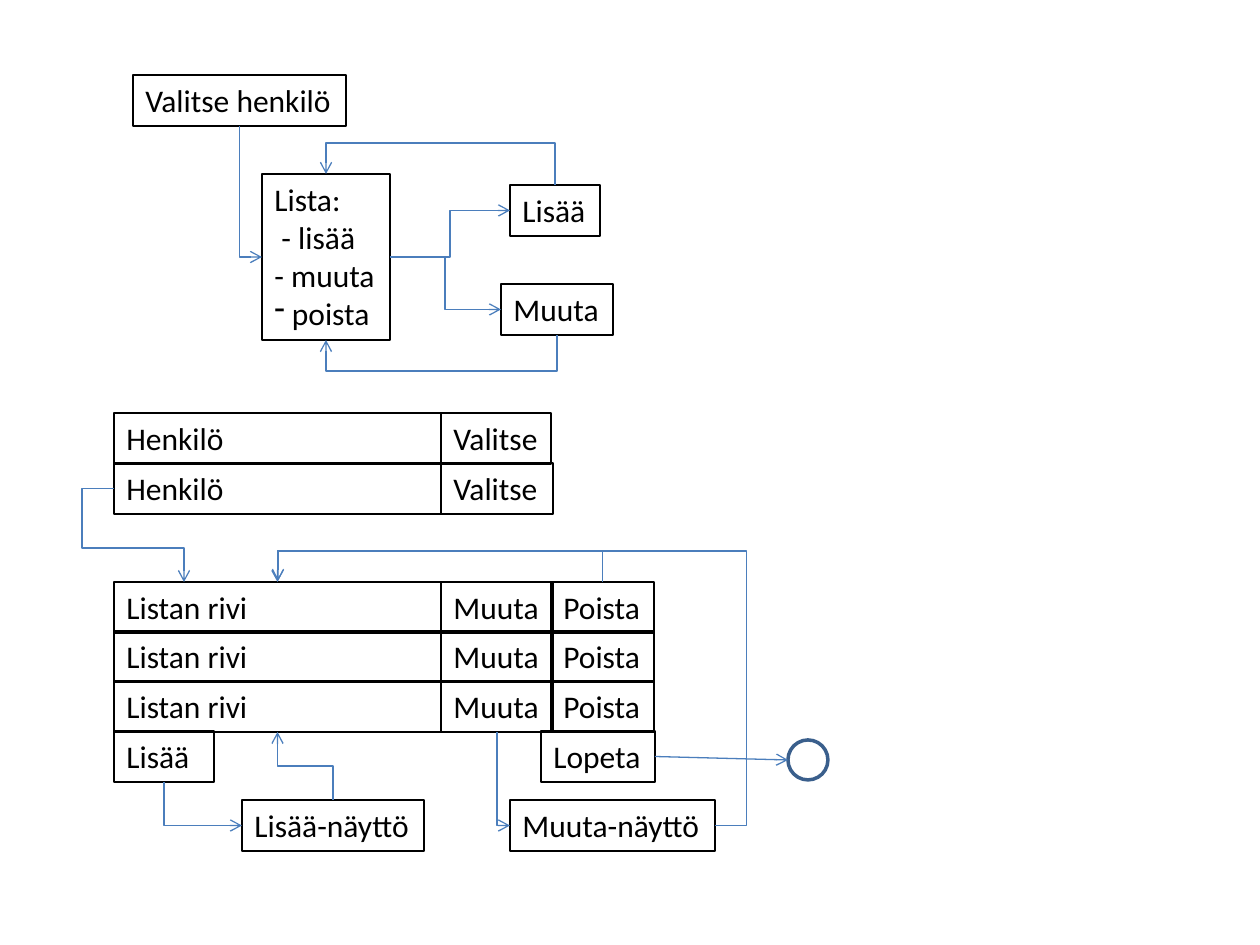
from lxml.etree import SubElement
from pptx import Presentation
from pptx.dml.color import RGBColor
from pptx.enum.shapes import MSO_CONNECTOR, MSO_SHAPE
from pptx.enum.text import MSO_ANCHOR, MSO_AUTO_SIZE, PP_ALIGN
from pptx.oxml.ns import qn
from pptx.util import Pt

RECT, OVAL = MSO_SHAPE.RECTANGLE, MSO_SHAPE.OVAL
STRAIGHT, ELBOW = MSO_CONNECTOR.STRAIGHT, MSO_CONNECTOR.ELBOW
FIT, TOP, LEFT_ALIGN = MSO_AUTO_SIZE.SHAPE_TO_FIT_TEXT, MSO_ANCHOR.TOP, PP_ALIGN.LEFT
T, L, B, R = 0, 1, 2, 3
PX = 914400 / 126
COLORS = {"text": "000000", "arrow": "4B7EBC", "circle": "3A5F8C"}
FONT = "Calibri"
BOX_H = 51


def add_box(name, text, x, y, w, h=BOX_H, wrap=False):
    sp = s.shapes.add_shape(RECT, *[round(v * PX) for v in (x, y, w, h)])
    sp.shadow.inherit = False
    sp.fill.background()
    sp.line.color.rgb = RGBColor.from_string(COLORS["text"])
    sp.line.width = Pt(0.75)
    tf = sp.text_frame
    tf.text = text
    tf.word_wrap = wrap
    tf.auto_size = FIT
    tf.vertical_anchor = TOP
    for p in tf.paragraphs:
        p.alignment = LEFT_ALIGN
        for r in p.runs:
            r.font.name = FONT
            r.font.size = Pt(18)
            r.font.color.rgb = RGBColor.from_string(COLORS["text"])
    boxes[name] = sp


def style_arrow(cn):
    cn.line.color.rgb = RGBColor.from_string(COLORS["arrow"])
    cn.line.width = Pt(0.75)
    spPr = cn._element.spPr
    SubElement(spPr.find(qn("a:ln")), qn("a:tailEnd"), type="arrow")
    SubElement(spPr, qn("a:effectLst"))


prs = Presentation()
prs.slide_width = round(1260 * PX)
prs.slide_height = round(945 * PX)
s = prs.slides.add_slide(prs.slide_layouts[6])
boxes = {}

add_box("choose", "Valitse henkilö", 133, 75, 213)
add_box("list", "Lista:\n - lisää\n- muuta\n poista", 262, 174, 128, 166)
add_box("add", "Lisää", 510, 185, 90)
add_box("edit", "Muuta", 501, 284, 112)

pPr = boxes["list"].text_frame.paragraphs[-1]._p.get_or_add_pPr()
pPr.set("marL", "0")
pPr.set("indent", "0")
SubElement(pPr, qn("a:buFontTx"))
SubElement(pPr, qn("a:buChar"), char="-")

for i, (y, w) in enumerate([(413, 110), (463, 112)]):
    add_box(f"person{i}", "Henkilö", 114, y, 327, wrap=True)
    add_box(f"select{i}", "Valitse", 441, y, w)

for i, y in enumerate([582, 631, 681]):
    add_box(f"row{i}", "Listan rivi", 114, y, 327, wrap=True)
    add_box(f"row_edit{i}", "Muuta", 441, y, 112)
    add_box(f"row_delete{i}", "Poista", 551, y, 103)

add_box("add_button", "Lisää", 114, 731, 100, wrap=True)
add_box("quit", "Lopeta", 541, 731, 114)
add_box("add_screen", "Lisää-näyttö", 242, 800, 182)
add_box("edit_screen", "Muuta-näyttö", 510, 800, 205, wrap=True)

sp = s.shapes.add_shape(OVAL, *[round(v * PX) for v in (788, 740, 40, 40)])
sp.shadow.inherit = False
sp.fill.background()
sp.line.color.rgb = RGBColor.from_string(COLORS["circle"])
sp.line.width = Pt(2)

ROUTES = [
    ("list", R, "add", L, [450]),
    ("list", R, "edit", L, [445]),
    ("add", T, "list", T, [143]),
    ("edit", B, "list", B, [371]),
    ("choose", B, "list", L, []),
    ("add_button", B, "add_screen", L, []),
    ("row_edit2", B, "edit_screen", L, []),
    ("edit_screen", R, "row0", T, [747, 551]),
    ("person1", L, (184, 582), T, [82, 548]),
    ("add_screen", T, "row2", B, [766]),
    ("row_delete0", T, (278, 581), T, [551]),
]
for start, side, end, end_side, bends in ROUTES:
    x, y = (0, 0) if end in boxes else end
    cn = s.shapes.add_connector(ELBOW, 0, 0, round(x * PX), round(y * PX))
    cn.begin_connect(boxes[start], side)
    if end in boxes:
        cn.end_connect(boxes[end], end_side)
    begin, finish = (cn.begin_x, cn.begin_y), (cn.end_x, cn.end_y)
    dx, dy = finish[0] - begin[0], finish[1] - begin[1]
    vertical = side in (T, B)
    along, across = (dy, -dx) if vertical else (dx, dy)
    flip_h, flip_v, turn = along < 0, across < 0, 90 if vertical else 0
    if vertical and (flip_h or flip_v):
        flip_h, flip_v, turn = not flip_h, not flip_v, 270
    cn.width, cn.height = abs(along), abs(across)
    cn.left = (begin[0] + finish[0] - cn.width) // 2
    cn.top = (begin[1] + finish[1] - cn.height) // 2
    xfrm = cn._element.spPr.find(qn("a:xfrm"))
    xfrm.set("rot", str(turn * 60000))
    xfrm.set("flipH", str(int(flip_h)))
    xfrm.set("flipV", str(int(flip_v)))
    geom = cn._element.spPr.find(qn("a:prstGeom"))
    geom.set("prst", f"bentConnector{len(bends) + 2}")
    av = geom.find(qn("a:avLst"))
    if av is None:
        av = SubElement(geom, qn("a:avLst"))
    for i, bend in enumerate(bends):
        axis = (i + vertical) % 2
        ratio = (bend * PX - begin[axis]) / (dx, dy)[axis]
        SubElement(av, qn("a:gd"), name=f"adj{i + 1}", fmla=f"val {round(ratio * 100000)}")
    style_arrow(cn)

cn = s.shapes.add_connector(STRAIGHT, 0, 0, round(788 * PX), round(760 * PX))
cn.begin_connect(boxes["quit"], R)
style_arrow(cn)

prs.save("out.pptx")
